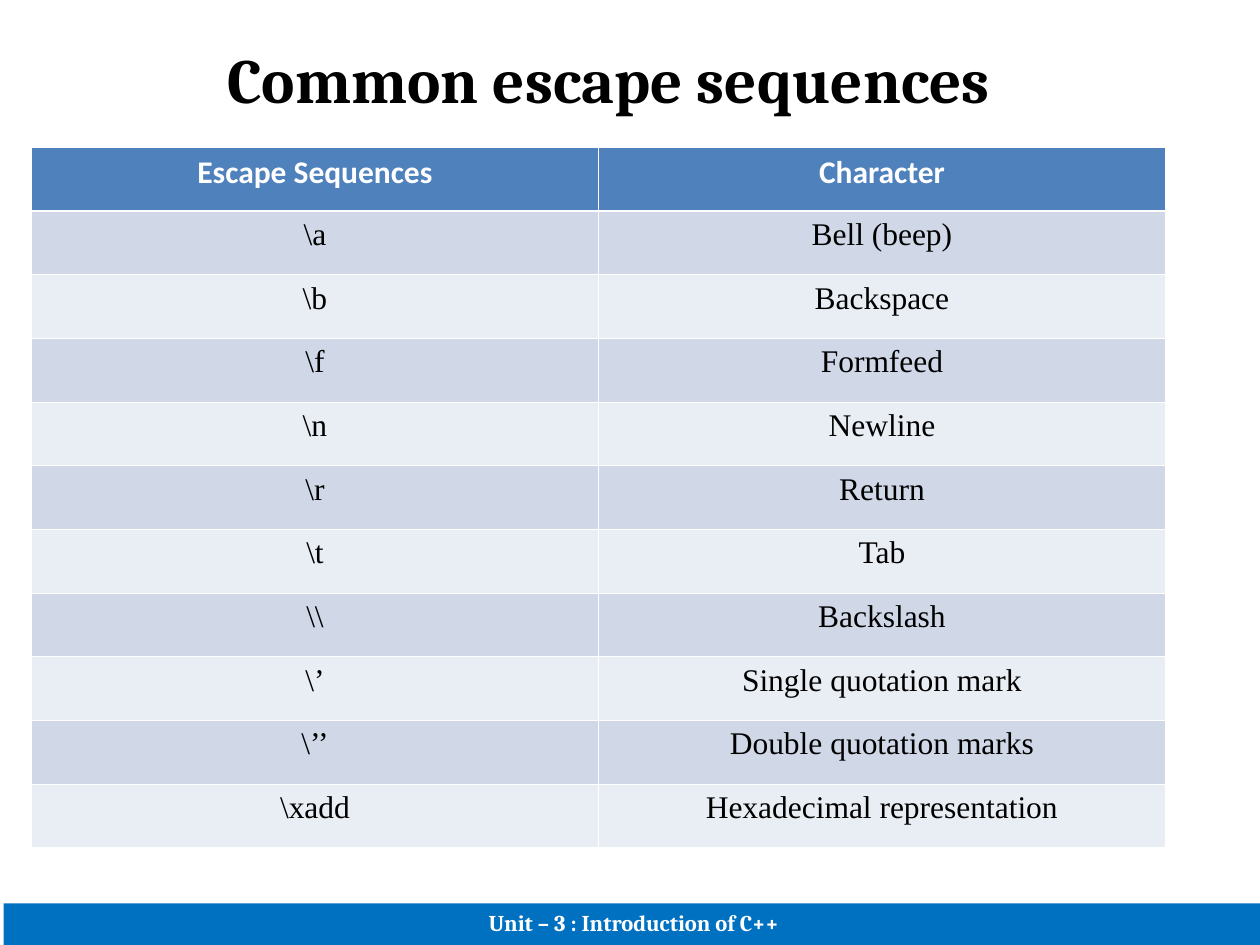
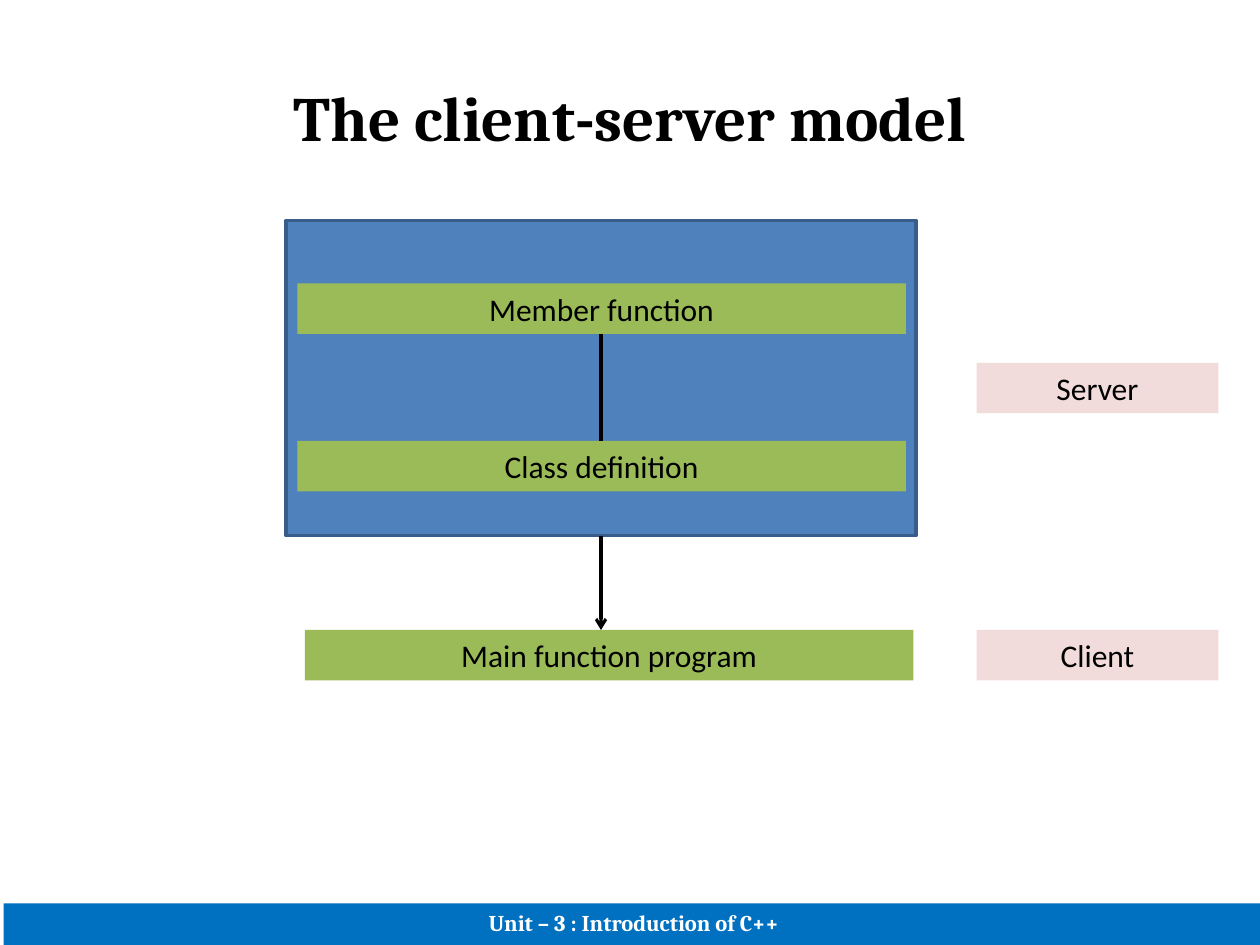
from pptx import Presentation
from pptx import util as u
from pptx.dml.color import RGBColor
from pptx.enum import shapes, text
from pptx.oxml import parse_xml
from pptx.oxml.ns import nsdecls, qn
from lxml import etree

BLACK, WHITE = "000000", "FFFFFF"
BLUE, DARK_BLUE, FOOTER_BLUE = "4F81BD", "385D8A", "0070C0"
GREEN, PINK = "9BBB59", "F2DCDB"
BANDS = ["D0D8E8", "E9EDF4"]
HEADING_FONT, BODY_FONT, CELL_FONT = "Cambria", "Calibri", "Times New Roman"
FOOTER = "Unit – 3 : Introduction of C++"


def style(paragraph, size, name, color, bold=False):
    """Centre a paragraph and format its runs."""
    paragraph.alignment = text.PP_ALIGN.CENTER
    for run in paragraph.runs:
        run.font.size = u.Pt(size)
        run.font.name = name
        run.font.bold = bold
        run.font.color.rgb = RGBColor.from_string(color)


def add_box(slide, left, top, width, height, fill):
    """Add a plain filled rectangle without outline or shadow."""
    shape = slide.shapes.add_shape(
        shapes.MSO_SHAPE.RECTANGLE,
        u.Inches(left), u.Inches(top), u.Inches(width), u.Inches(height))
    shape.shadow.inherit = False
    shape.fill.solid()
    shape.fill.fore_color.rgb = RGBColor.from_string(fill)
    shape.line.fill.background()
    return shape


presentation = Presentation()
presentation.slide_width = u.Inches(10)
presentation.slide_height = u.Inches(7.5)
title_only = presentation.slide_layouts[5]

# Slides with their title and footer band
slides = []
for heading, left, top in [("Common escape sequences", 0.33, 0),
                           ("The client-server model", 0.5, 0.3)]:
    slide = presentation.slides.add_slide(title_only)
    title = slide.shapes.title
    title.left, title.top = u.Inches(left), u.Inches(top)
    title.width, title.height = u.Inches(9), u.Inches(1.25)
    title.text_frame.text = heading
    title.text_frame.auto_size = text.MSO_AUTO_SIZE.NONE
    title.text_frame.vertical_anchor = text.MSO_ANCHOR.MIDDLE
    style(title.text_frame.paragraphs[0], 36, HEADING_FONT, BLACK, bold=True)

    footer = add_box(slide, 0.03, 7.17, 10, 0.33, FOOTER_BLUE)
    footer.text_frame.text = FOOTER
    paragraph = footer.text_frame.paragraphs[0]
    paragraph.line_spacing = 0.9
    style(paragraph, 12.9, HEADING_FONT, WHITE, bold=True)
    slides.append(slide)
table_slide, model_slide = slides

# Slide 1: table of escape sequences
rows = [
    ("Escape Sequences", "Character"),
    (r"\a", "Bell (beep)"),
    (r"\b", "Backspace"),
    (r"\f", "Formfeed"),
    (r"\n", "Newline"),
    (r"\r", "Return"),
    (r"\t", "Tab"),
    (r"\\", "Backslash"),
    (r"\’", "Single quotation mark"),
    (r"\’’", "Double quotation marks"),
    (r"\xadd", "Hexadecimal representation"),
]
table = table_slide.shapes.add_table(
    len(rows), 2, u.Inches(0.25), u.Inches(1.17), u.Inches(9), u.Inches(5.56)).table
table.horz_banding = False

for row_index, row in enumerate(rows):
    is_header = row_index == 0
    for column_index, label in enumerate(row):
        cell = table.cell(row_index, column_index)
        cell.text_frame.text = label
        paragraph = cell.text_frame.paragraphs[0]
        if is_header:
            style(paragraph, 18, BODY_FONT, WHITE, bold=True)
        else:
            style(paragraph, 18, CELL_FONT, BLACK)

        # White borders, heavier below the header
        heavy_side = {0: "lnB", 1: "lnT"}.get(row_index)
        for side in ("lnL", "lnR", "lnT", "lnB"):
            width = u.Pt(1.47 if side == heavy_side else 0.45)
            cell._tc.get_or_add_tcPr().append(parse_xml(
                f'<a:{side} {nsdecls("a")} w="{width}"><a:solidFill>'
                f'<a:srgbClr val="{WHITE}"/></a:solidFill></a:{side}>'))
        cell.fill.solid()
        cell.fill.fore_color.rgb = RGBColor.from_string(
            BLUE if is_header else BANDS[(row_index - 1) % 2])

# Slide 2: server frame
server_frame = add_box(model_slide, 2.27, 1.75, 5, 2.5, BLUE)
server_frame.line.color.rgb = RGBColor.from_string(DARK_BLUE)
server_frame.line.width = u.Pt(2)

# Slide 2: program parts and role labels
for label, left, top, width, fill in [
    ("Member function", 2.36, 2.25, 4.83, GREEN),
    ("Class definition", 2.36, 3.5, 4.83, GREEN),
    ("Main function program", 2.42, 5, 4.83, GREEN),
    ("Client", 7.75, 5, 1.92, PINK),
    ("Server", 7.75, 2.88, 1.92, PINK),
]:
    box = add_box(model_slide, left, top, width, 0.4, fill)
    box.text_frame.text = label
    box.text_frame.word_wrap = True
    box.text_frame.auto_size = text.MSO_AUTO_SIZE.SHAPE_TO_FIT_TEXT
    box.text_frame.vertical_anchor = text.MSO_ANCHOR.TOP
    style(box.text_frame.paragraphs[0], 18, BODY_FONT, BLACK)

# Slide 2: link inside the server and arrow to the client
for start, end, has_arrow in [(2.65, 3.5, False), (4.25, 5, True)]:
    connector = model_slide.shapes.add_connector(
        shapes.MSO_CONNECTOR.STRAIGHT,
        u.Inches(4.77), u.Inches(start), u.Inches(4.77), u.Inches(end))
    connector.line.color.rgb = RGBColor.from_string(BLACK)
    connector.line.width = u.Pt(1.75)
    if has_arrow:
        line = connector.line._get_or_add_ln()
        etree.SubElement(line, qn("a:tailEnd"), type="arrow")
    etree.SubElement(connector._element.spPr, qn("a:effectLst"))

presentation.save("out.pptx")
